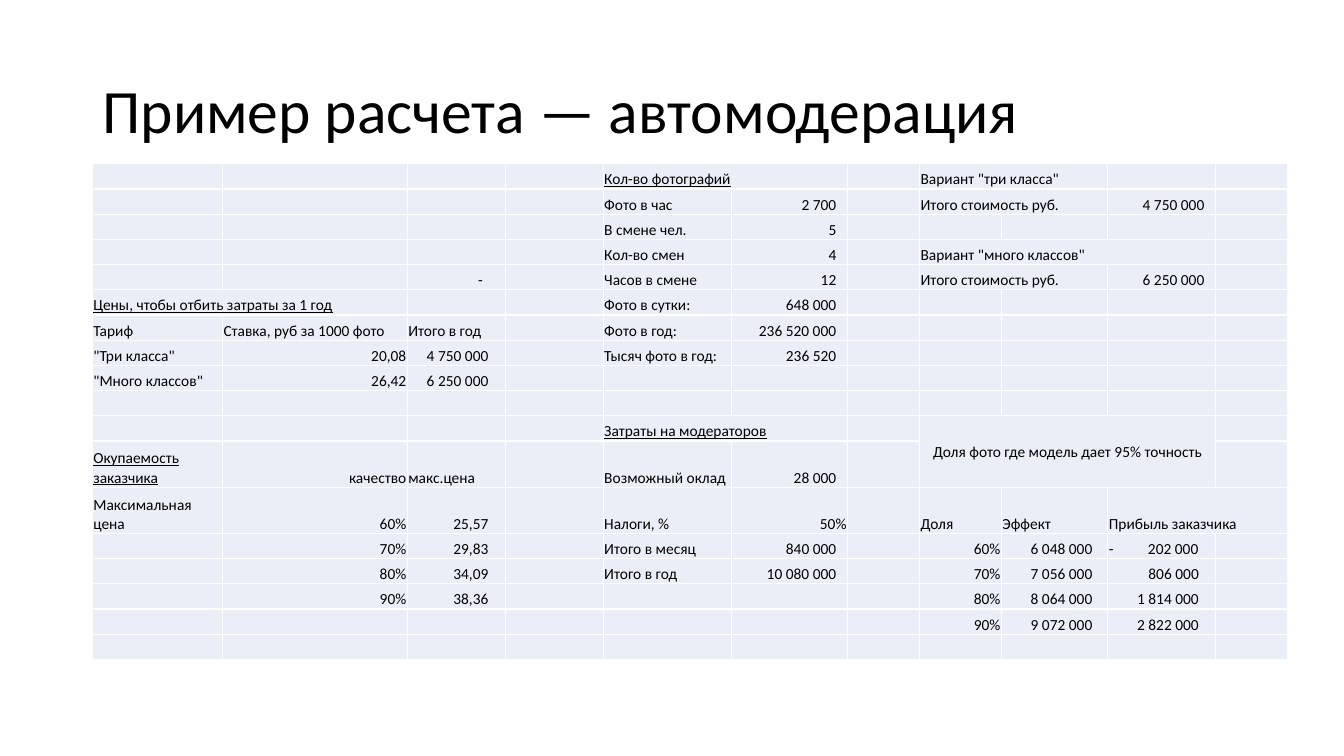
"""Builds the slide with the auto-moderation cost table."""
from lxml import etree
from pptx import Presentation
from pptx.dml.color import RGBColor
from pptx.enum.text import MSO_ANCHOR, PP_ALIGN
from pptx.oxml.ns import qn
from pptx.util import Pt

LEFT, RIGHT, CENTER = PP_ALIGN.LEFT, PP_ALIGN.RIGHT, PP_ALIGN.CENTER
MIDDLE, BOTTOM = MSO_ANCHOR.MIDDLE, MSO_ANCHOR.BOTTOM
BLACK = RGBColor(0x00, 0x00, 0x00)
WHITE = RGBColor(0xFF, 0xFF, 0xFF)
PALE = RGBColor(0xEA, 0xEF, 0xF7)
FONT, SIZE, INSET, EDGE, STOP = "Calibri", 11, 0.7, 1, 64

TITLE = "Пример расчета — автомодерация"
WIDTHS = [93, 132, 70, 70, 91.5, 83, 51.5, 58.5, 76, 77, 51.5]
HEIGHTS = [18] * 11 + [33] * 2 + [18] * 5

# text blocks: first row, column, lines going down
LABELS = [
    (5, 0, ["Цены, чтобы отбить затраты за 1 год", "Тариф",
            '"Три класса"', '"Много классов"']),
    (11, 0, ["Окупаемость заказчика", "Максимальная цена"]),
    (6, 1, ["Ставка, руб за 1000 фото"]),
    (6, 2, ["Итого в год"]),
    (11, 2, ["макс.цена"]),
    (0, 4, ["Кол-во фотографий", "Фото в час", "В смене чел.",
            "Кол-во смен", "Часов в смене", "Фото в сутки:",
            "Фото в год:", "Тысяч фото в год:"]),
    (10, 4, ["Затраты на модераторов", "Возможный оклад", "Налоги, %",
             "Итого в месяц", "Итого в год"]),
    (0, 7, ['Вариант "три класса"', "Итого стоимость руб."]),
    (3, 7, ['Вариант "много классов"', "Итого стоимость руб."]),
    (12, 7, ["Доля"]),
    (12, 8, ["Эффект"]),
    (12, 9, ["Прибыль заказчика"]),
    (13, 9, ["-\t202 000"]),
]
VALUES = [
    (7, 1, INSET, ["20,08", "26,42"]),
    (11, 1, INSET, ["качество", "60%", "70%", "80%", "90%"]),
    (4, 2, 16, ["-"]),
    (7, 2, 12, ["4 750 000", "6 250 000"]),
    (12, 2, 12, ["25,57", "29,83", "34,09", "38,36"]),
    (1, 5, 8, ["2 700", "5", "4", "12", "648 000", "236 520 000", "236 520"]),
    (11, 5, 8, ["28 000"]),
    (12, 5, INSET, ["50%"]),
    (13, 5, 8, ["840 000", "10 080 000"]),
    (13, 7, INSET, ["60%", "70%", "80%", "90%"]),
    (13, 8, 11, ["6 048 000", "7 056 000", "8 064 000", "9 072 000"]),
    (1, 9, 8, ["4 750 000"]),
    (4, 9, 8, ["6 250 000"]),
    (14, 9, 12, ["806 000", "1 814 000", "2 822 000"]),
]
SHARE = (10, 7, "Доля фото где модель дает 95% точность")
HEADS = {(5, 0), (11, 0), (0, 4), (10, 4)}
SPANS = [(0, 4, 1, 2), (0, 7, 1, 2), (1, 7, 1, 2), (3, 7, 1, 3),
         (4, 7, 1, 2), (5, 0, 1, 2), (10, 4, 1, 2), (10, 7, 2, 3),
         (12, 9, 1, 2)]


def add_run(para, text, size, line=False):
    run = para.add_run()
    run.text = text
    run.font.name, run.font.size = FONT, Pt(size)
    run.font.color.rgb = BLACK
    run.font.underline = line


def style(cell):
    cell.fill.solid()
    cell.fill.fore_color.rgb = PALE
    cell.vertical_anchor = BOTTOM
    cell.margin_left = cell.margin_right = cell.margin_top = Pt(INSET)
    cell.margin_bottom = 0
    props = cell._tc.get_or_add_tcPr()
    for spot, side in enumerate(("lnL", "lnR", "lnT", "lnB")):
        edge = etree.Element(qn("a:" + side), w=str(Pt(EDGE)))
        fill = etree.SubElement(edge, qn("a:solidFill"))
        etree.SubElement(fill, qn("a:srgbClr"), val=str(WHITE))
        props.insert(spot, edge)


def write(row, col, text, align=LEFT, pad=INSET):
    cell = table.cell(row, col)
    cell.margin_right = Pt(pad)
    para = cell.text_frame.paragraphs[0]
    para.alignment = align
    if "\t" in text:
        tabs = etree.SubElement(para._p.get_or_add_pPr(), qn("a:tabLst"))
        etree.SubElement(tabs, qn("a:tab"), pos=str(Pt(STOP)), algn="r")
    add_run(para, text, SIZE, (row, col) in HEADS)


deck = Presentation()
deck.slide_width, deck.slide_height = Pt(960), Pt(540)
slide = deck.slides.add_slide(deck.slide_layouts[5])

title = slide.shapes.title
title.left, title.top, title.width, title.height = map(Pt, (66, 28.8, 828, 104.4))
title.text_frame.vertical_anchor = MIDDLE
head = title.text_frame.paragraphs[0]
head.alignment, head.line_spacing = LEFT, 0.9
add_run(head, TITLE, 44)

frame = slide.shapes.add_table(len(HEIGHTS), len(WIDTHS), Pt(66), Pt(117),
                               Pt(sum(WIDTHS)), Pt(sum(HEIGHTS)))
table = frame.table
table.first_row = table.horz_banding = False
for col, width in zip(table.columns, WIDTHS):
    col.width = Pt(width)
for row, height in zip(table.rows, HEIGHTS):
    row.height = Pt(height)
for cell in table.iter_cells():
    style(cell)
for row, col, down, wide in SPANS:
    table.cell(row, col).merge(table.cell(row + down - 1, col + wide - 1))

for top, col, lines in LABELS:
    for row, text in enumerate(lines, top):
        write(row, col, text)
for top, col, pad, lines in VALUES:
    for row, text in enumerate(lines, top):
        write(row, col, text, RIGHT, pad)
write(*SHARE, CENTER)
table.cell(*SHARE[:2]).vertical_anchor = MIDDLE

for cell in table.iter_cells():
    if not cell.text_frame.text:
        para = cell.text_frame.paragraphs[0]._p
        etree.SubElement(para, qn("a:endParaRPr"), sz=str(SIZE * 100))

deck.save("out.pptx")
